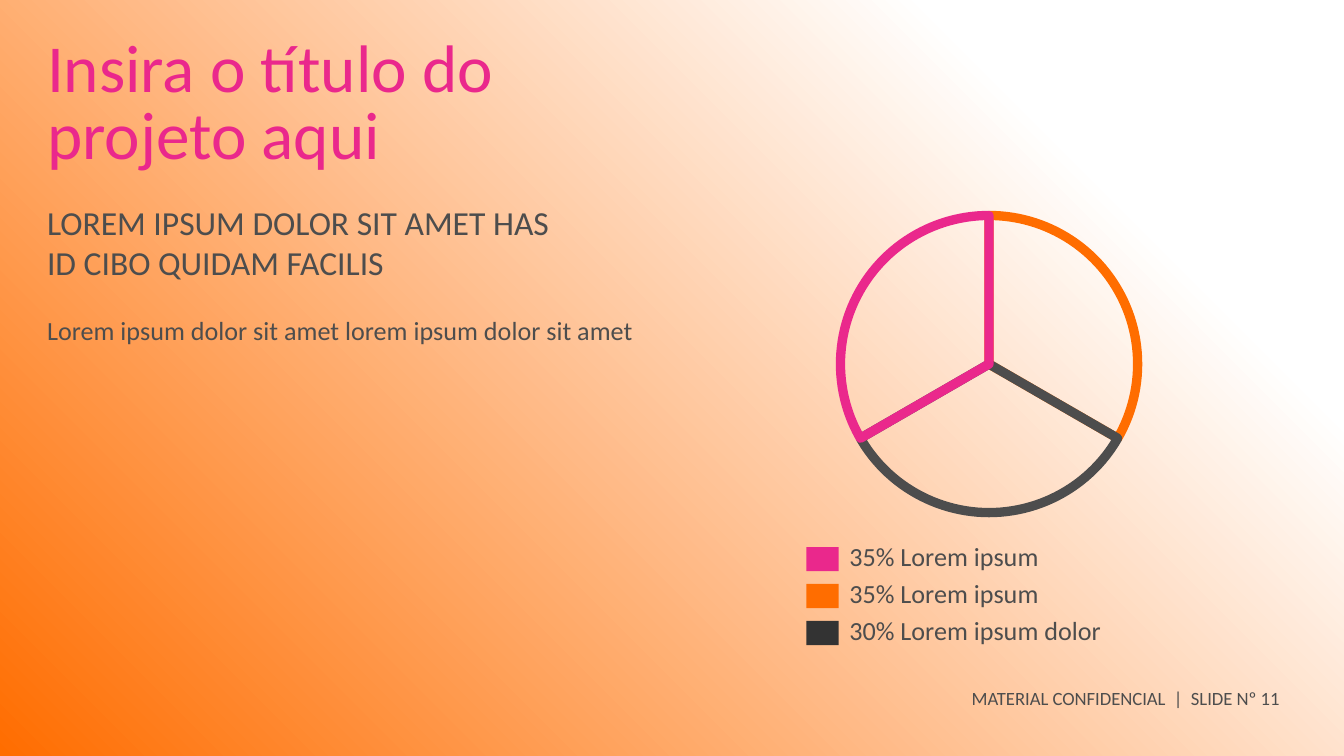
from lxml import etree
from pptx import Presentation
from pptx.chart.data import CategoryChartData
from pptx.dml.color import RGBColor
from pptx.enum.chart import XL_CHART_TYPE as ChartType
from pptx.enum.shapes import MSO_SHAPE as Preset
from pptx.enum.text import MSO_ANCHOR as Anchor, MSO_AUTO_SIZE as AutoSize, PP_ALIGN as Align
from pptx.oxml.ns import qn
from pptx.util import Inches, Pt

PINK = RGBColor(0xEA, 0x28, 0x8C)
ORANGE = RGBColor(0xFF, 0x6D, 0x00)
WHITE = RGBColor(0xFF, 0xFF, 0xFF)
GRAY = RGBColor(0x4D, 0x4D, 0x4D)
DARK = RGBColor(0x33, 0x33, 0x33)
FONT = "Calibri"


def place_text(shape, box, text, size, color=GRAY, line_spacing=None):
    """Move a text shape to box and fill it with one formatted paragraph."""
    shape.left, shape.top, shape.width, shape.height = (Inches(length) for length in box)
    frame = shape.text_frame
    frame_format = {
        "word_wrap": True, "auto_size": AutoSize.NONE, "vertical_anchor": Anchor.TOP,
        "margin_left": 0, "margin_top": 0, "margin_right": 0, "margin_bottom": 0,
    }
    for name, value in frame_format.items():
        setattr(frame, name, value)

    paragraph = frame.paragraphs[0]
    paragraph.text = text
    paragraph_format = {"alignment": Align.LEFT, "space_before": Pt(0), "line_spacing": line_spacing}
    for name, value in paragraph_format.items():
        setattr(paragraph, name, value)
    for run in paragraph.runs:
        for name, value in {"name": FONT, "size": Pt(size), "bold": False}.items():
            setattr(run.font, name, value)
        run.font.color.rgb = color


presentation = Presentation()
presentation.slide_width = Inches(10)
presentation.slide_height = Inches(10 * 9 / 16)
slide = presentation.slides.add_slide(presentation.slide_layouts.get_by_name("Comparison"))
shapes = slide.shapes

# Background: orange at the lower left fading to white
background = slide.background.fill
background.gradient()
background.gradient_angle = 45
for stop, (position, color) in zip(background.gradient_stops, [(0, ORANGE), (0.8, WHITE)]):
    stop.position = position
    stop.color.rgb = color

# Title, heading and body text
placeholders = {shape.placeholder_format.idx: shape for shape in slide.placeholders}
place_text(placeholders[0], (0.35, 0.29, 4.16, 1.03),
           "Insira o título do projeto aqui", 36, PINK, Pt(36))
place_text(placeholders[1], (0.35, 1.5, 4.16, 0.61),
           "LOREM IPSUM DOLOR SIT AMET HAS\nID CIBO QUIDAM FACILIS", 18)
place_text(placeholders[3], (0.35, 2.38, 4.67, 1.31),
           "Lorem ipsum dolor sit amet lorem ipsum dolor sit amet", 14, line_spacing=Pt(14))
for unused in (placeholders[2], placeholders[4]):
    unused.element.getparent().remove(unused.element)

# Footer
place_text(shapes.add_textbox(0, 0, 0, 0), (7.23, 5.11, 2.33, 0.3),
           "MATERIAL CONFIDENCIAL  |  SLIDE Nº 11", 10)

# Outlined pie chart
chart_data = CategoryChartData()
chart_data.categories = ["1", "2", "3"]
chart_data.add_series("Series 1", (33, 33, 33))
chart = shapes.add_chart(ChartType.PIE, Inches(5.4), Inches(1.48),
                         Inches(3.88), Inches(2.46), chart_data).chart
chart.has_title = False
chart.has_legend = False
chart.font.name = FONT
chart.font.size = Pt(18)
plot = chart.plots[0]
plot.vary_by_categories = False
for index, color in enumerate([ORANGE, GRAY, PINK]):
    point_format = plot.series[0].points[index].format
    point_format.fill.background()
    point_format.line.color.rgb = color
    point_format.line.width = Pt(5)

# Fixed plot area, as fractions of the chart
plot_area = chart.element.find(".//" + qn("c:plotArea"))
for old_layout in plot_area.findall(qn("c:layout")):
    plot_area.remove(old_layout)
layout = etree.Element(qn("c:layout"))
plot_area.insert(0, layout)
manual_layout = etree.SubElement(layout, qn("c:manualLayout"))
for tag, value in [("layoutTarget", "inner"), ("xMode", "edge"), ("yMode", "edge"),
                   ("x", "0.22"), ("y", "0.05"), ("w", "0.57"), ("h", "0.9")]:
    etree.SubElement(manual_layout, qn("c:" + tag)).set("val", value)

# Legend
legend = [(PINK, "35% Lorem ipsum"), (ORANGE, "35% Lorem ipsum"), (DARK, "30% Lorem ipsum dolor")]
for row, (color, label) in enumerate(legend):
    top = 4.07 + row * 0.55 / 2
    swatch = shapes.add_shape(Preset.RECTANGLE, Inches(6), Inches(top), Inches(0.24), Inches(0.18))
    swatch.shadow.inherit = False
    swatch.fill.solid()
    swatch.fill.fore_color.rgb = color
    swatch.line.fill.background()
    place_text(shapes.add_textbox(0, 0, 0, 0), (6.32, top - 0.01, 4.5, 0.25),
               label, 14, line_spacing=Pt(14))

presentation.save("out.pptx")
